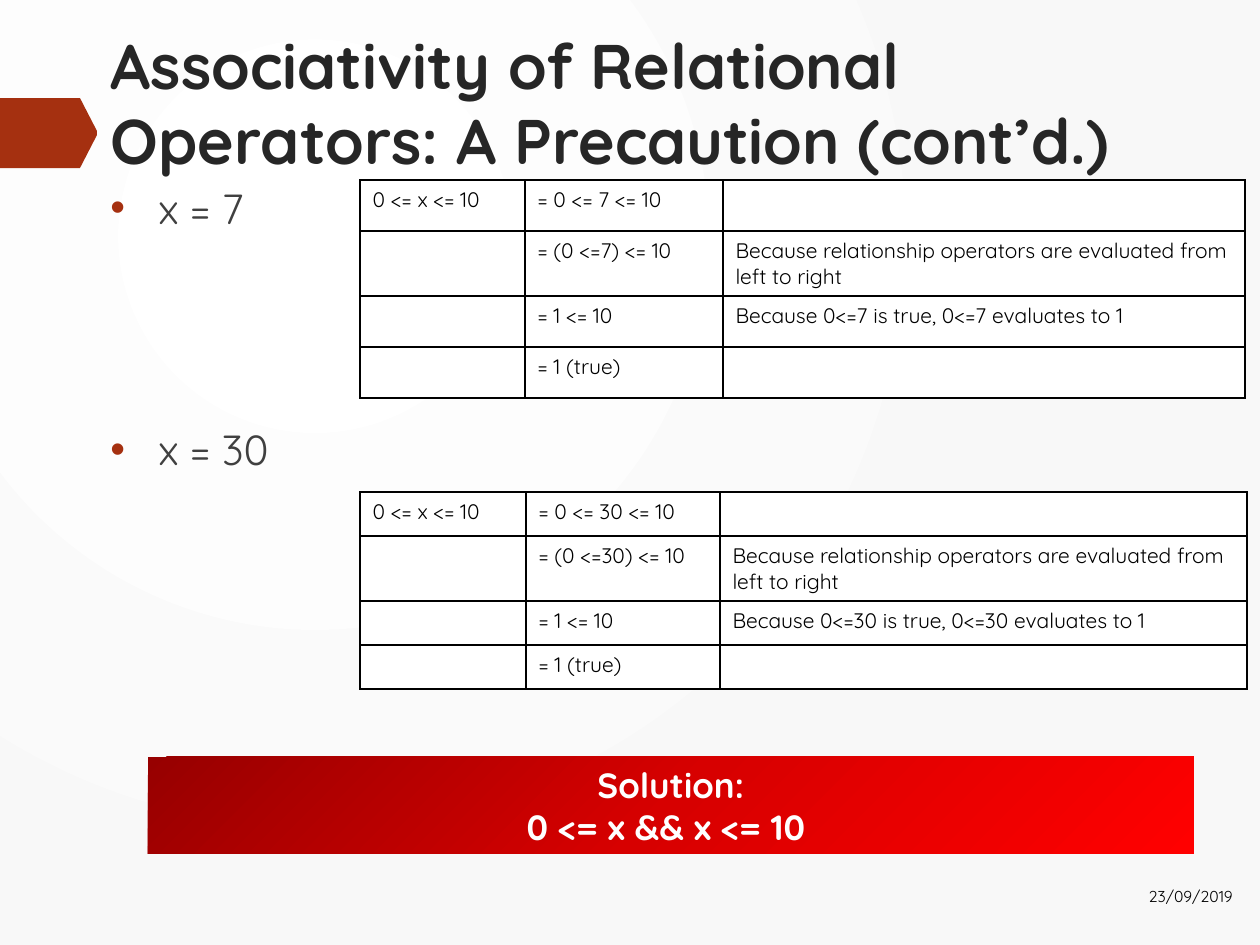
from lxml.etree import SubElement
from pptx import Presentation
from pptx.dml.color import RGBColor
from pptx.enum.shapes import MSO_SHAPE
from pptx.enum.text import MSO_ANCHOR as Anchor, MSO_AUTO_SIZE as AutoSize, PP_ALIGN as Align
from pptx.oxml import parse_xml
from pptx.oxml.ns import nsdecls, qn
from pptx.util import Emu, Pt

COLORS = {
    "accent": "A53010", "title": "262626", "body": "404040", "black": "000000",
    "white": "FFFFFF", "pale": "F8F8F8",
    "dark red": "970000", "mid red": "D70000", "red": "FF0000",
}
FONT = "Quicksand"
REASON = "Because relationship operators are evaluated from left to right"


def px(length):
    """Turn pixels at 126 to the inch into EMU."""
    return Emu(round(length * 914400 / 126))


def box_emu(box):
    """Turn a pixel box into EMU lengths."""
    return [px(length) for length in box]


def color(name):
    """Look up a named colour."""
    return RGBColor.from_string(COLORS[name])


def write(paragraph, text, size, color_name, bold=False, align=Align.LEFT):
    """Fill and format one paragraph."""
    paragraph.text = text
    paragraph.alignment = align
    font = paragraph.font
    font.name, font.size, font.bold = FONT, Pt(size), bold
    font.color.rgb = color(color_name)


def set_gradient(fill, owner, stops, direction):
    """Give a fill its gradient stops and a direction element."""
    fill.gradient()
    gradient = next(owner.iter(qn("a:gradFill")))
    for child in list(gradient):
        gradient.remove(child)
    stop_list = SubElement(gradient, qn("a:gsLst"))
    for percent, name in stops:
        stop = SubElement(stop_list, qn("a:gs"), pos=str(percent * 1000))
        SubElement(stop, qn("a:srgbClr"), val=COLORS[name])
    gradient.append(parse_xml(direction))


def set_background(slide):
    """Shade the slide outward from its upper left."""
    direction = (f'<a:path {nsdecls("a")} path="circle">'
                 '<a:fillToRect l="50000" t="50000" r="100000" b="100000"/></a:path>')
    set_gradient(slide.background.fill, slide.element, [(0, "white"), (100, "pale")], direction)


def add_marker(slide, box):
    """Draw the arrow-shaped tab at the left edge."""
    left, top, width, height = box
    right, bottom, shoulder, middle = left + width, top + height, left + width - 17, top + height / 2
    points = [(shoulder, top), (right, middle - 2), (right, middle + 2),
              (shoulder, bottom), (left, bottom)]
    builder = slide.shapes.build_freeform(px(left), px(top))
    builder.add_line_segments([(px(x), px(y)) for x, y in points])
    marker = builder.convert_to_shape()
    marker.shadow.inherit = False
    marker.fill.solid()
    marker.fill.fore_color.rgb = color("accent")
    marker.line.fill.background()


def place_title(slide, box, text):
    """Move and format the title placeholder."""
    title = slide.shapes.title
    title.left, title.top, title.width, title.height = box_emu(box)
    frame = title.text_frame
    frame.word_wrap, frame.auto_size = True, AutoSize.NONE
    frame.vertical_anchor = Anchor.TOP
    write(frame.paragraphs[0], text, 36, "title", bold=True)


def add_text_box(slide, box):
    """Add a wrapping text box and return its frame."""
    frame = slide.shapes.add_textbox(*box_emu(box)).text_frame
    frame.word_wrap = True
    return frame


def add_cases(slide, box, cases):
    """List the bulleted cases, each with its space before."""
    frame = add_text_box(slide, box)
    for index, (text, space) in enumerate(cases):
        paragraph = frame.add_paragraph() if index else frame.paragraphs[0]
        write(paragraph, text, 24, "body")
        paragraph.space_before = Pt(space)
        properties = paragraph._p.get_or_add_pPr()
        properties.set("marL", str(px(48)))
        properties.set("indent", str(-px(48)))
        bullet = [f'<a:buClr {nsdecls("a")}><a:srgbClr val="{COLORS["accent"]}"/></a:buClr>',
                  f'<a:buFont {nsdecls("a")} typeface="Arial"/>',
                  f'<a:buChar {nsdecls("a")} char="•"/>']
        defaults = properties.find(qn("a:defRPr"))
        for part in bullet:
            defaults.addprevious(parse_xml(part))


def format_cell(cell, text):
    """Write a white cell with thin black borders."""
    paragraph = cell.text_frame.paragraphs[0]
    write(paragraph, text, 12, "black")
    if not text:
        paragraph._p.get_or_add_endParaRPr().set("sz", "1200")
    cell.fill.solid()
    cell.fill.fore_color.rgb = color("white")
    properties = cell._tc.get_or_add_tcPr()
    for index, side in enumerate(("lnL", "lnR", "lnT", "lnB")):
        properties.insert(index, parse_xml(
            f'<a:{side} {nsdecls("a")} w="{Pt(1)}"><a:solidFill>'
            f'<a:srgbClr val="{COLORS["black"]}"/></a:solidFill></a:{side}>'))


def add_evaluation(slide, left, top, widths, heights, value):
    """Tabulate the step-by-step evaluation for one value of x."""
    rows = [
        ("0 <= x <= 10", f"= 0 <= {value} <= 10", ""),
        ("", f"= (0 <={value}) <= 10", REASON),
        ("", "= 1 <= 10", f"Because 0<={value} is true, 0<={value} evaluates to 1"),
        ("", "= 1 (true)", ""),
    ]
    box = box_emu((left, top, sum(widths), sum(heights)))
    table = slide.shapes.add_table(len(rows), len(widths), *box).table
    table.first_row = table.horz_banding = False
    for column, width in zip(table.columns, widths):
        column.width = px(width)
    for row, height, texts in zip(table.rows, heights, rows):
        row.height = px(height)
        for cell, text in zip(row.cells, texts):
            format_cell(cell, text)


def add_solution(slide, box, lines):
    """Add the red banner with the solution."""
    banner = slide.shapes.add_shape(MSO_SHAPE.RECTANGLE, *box_emu(box))
    banner.shadow.inherit = False
    banner.line.fill.background()
    set_gradient(banner.fill, banner.element,
                 [(0, "dark red"), (50, "mid red"), (100, "red")],
                 f'<a:lin {nsdecls("a")} ang="2700000" scaled="1"/>')
    frame = banner.text_frame
    frame.word_wrap, frame.auto_size = True, AutoSize.SHAPE_TO_FIT_TEXT
    frame.vertical_anchor = Anchor.TOP
    for index, line in enumerate(lines):
        paragraph = frame.add_paragraph() if index else frame.paragraphs[0]
        write(paragraph, line, 20, "white", bold=True, align=Align.CENTER)


def add_date(slide, box, text):
    """Add the date at the lower right."""
    frame = add_text_box(slide, box)
    frame.vertical_anchor = Anchor.MIDDLE
    write(frame.paragraphs[0], text, 9, "black", align=Align.RIGHT)


def main():
    """Build and save the slide."""
    presentation = Presentation()
    presentation.slide_width, presentation.slide_height = px(1260), px(945)
    slide = presentation.slides.add_slide(presentation.slide_layouts[5])
    set_background(slide)
    add_marker(slide, (0, 98, 97, 70))
    place_title(slide, (98, 20, 1147, 112),
                "Associativity of Relational Operators: A Precaution (cont’d.)")
    add_cases(slide, (98, 176, 1147, 687), [("x = 7", 6), ("x = 30", 109)])
    add_evaluation(slide, 360, 180, (165, 198, 522), (51, 65, 51, 51), 7)
    add_evaluation(slide, 360, 492, (166, 194, 527), (44, 65, 44, 44), 30)
    add_solution(slide, (148, 757, 1046, 97), ["Solution:", "0 <= x && x <= 10 "])
    add_date(slide, (1060, 871, 185, 50), "23/09/2019")
    presentation.save("out.pptx")


if __name__ == "__main__":
    main()
